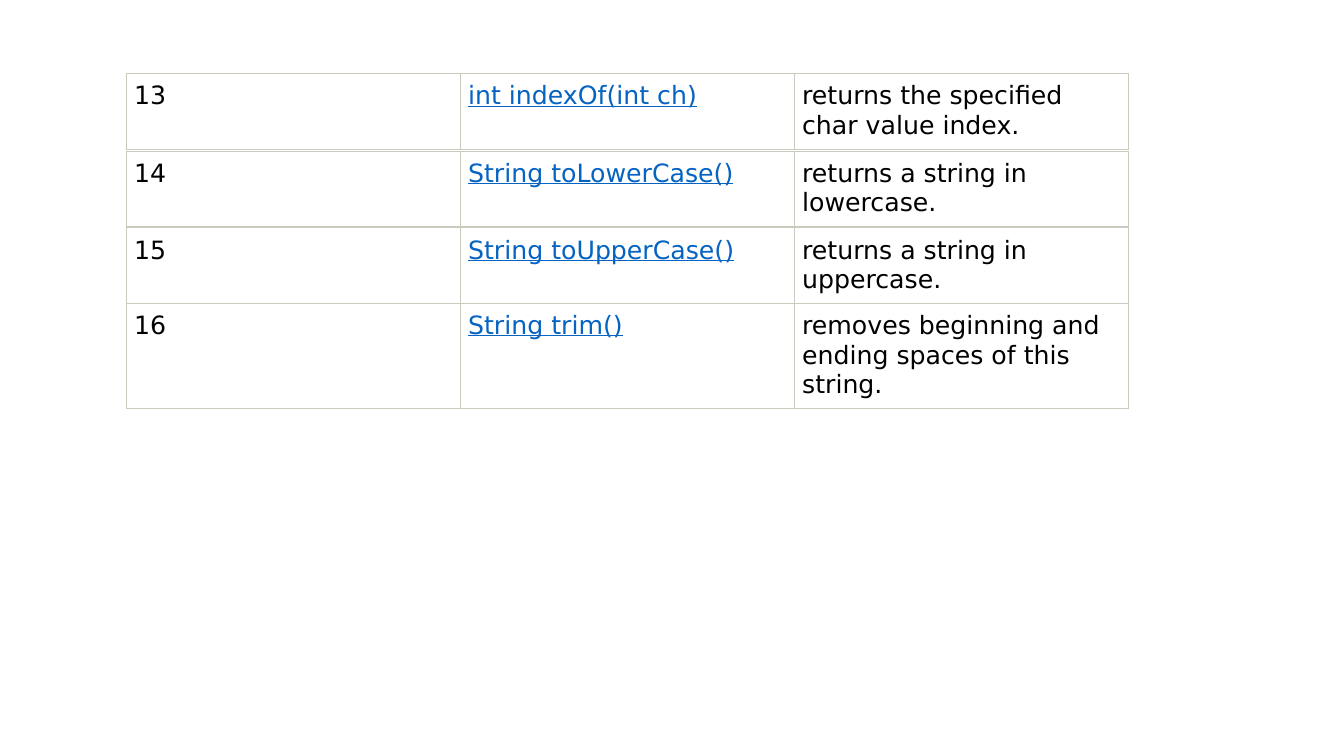
from dataclasses import dataclass

from lxml.etree import SubElement
from pptx import Presentation
from pptx.dml.color import RGBColor
from pptx.oxml.ns import qn
from pptx.slide import Slide
from pptx.table import _Cell
from pptx.util import Inches, Pt


@dataclass(frozen=True)
class Theme:
    font: str = "DejaVu Sans"
    text_size: int = 18
    text: str = "000000"
    link: str = "0563C1"
    cell: str = "FFFFFF"
    border: str = "C7CCBE"
    border_width: float = 0.75


@dataclass(frozen=True)
class Method:
    number: str
    signature: str
    description: str
    top: int  # grid rows from the top of the slide
    lines: int = 2


THEME = Theme()
METHODS = (
    Method("13", "int indexOf(int ch)", "returns the specified char value index.", 73),
    Method("14", "String toLowerCase()", "returns a string in lowercase.", 150),
    Method("15", "String toUpperCase()", "returns a string in uppercase.", 226),
    Method("16", "String trim()", "removes beginning and ending spaces of this string.", 301, 3),
)

# Slide and its fine grid
presentation = Presentation()
presentation.slide_width, presentation.slide_height = Inches(13.33), Inches(7.5)
GRID_COLUMN = presentation.slide_width / 1333
GRID_ROW = presentation.slide_height / 750
TABLE_LEFT, COLUMN_WIDTH, COLUMN_COUNT = 125, 331.3, 3
LINE_HEIGHT, ROW_PADDING = 29, 17
CELL_MARGIN = Inches(0.08)


def draw_borders(cell: _Cell) -> None:
    """Outline all four sides of a cell."""
    properties = cell._tc.get_or_add_tcPr()
    for side in ("a:lnL", "a:lnR", "a:lnT", "a:lnB"):
        line = SubElement(properties, qn(side), w=str(Pt(THEME.border_width)))
        fill = SubElement(line, qn("a:solidFill"))
        SubElement(fill, qn("a:srgbClr"), val=THEME.border)


def fill_cell(cell: _Cell, text: str, is_link: bool) -> None:
    """Write and format one cell."""
    for side in ("left", "right", "top", "bottom"):
        setattr(cell, f"margin_{side}", CELL_MARGIN)
    draw_borders(cell)
    cell.fill.solid()
    cell.fill.fore_color.rgb = RGBColor.from_string(THEME.cell)
    run = cell.text_frame.paragraphs[0].add_run()
    run.text = text
    font_format = {"name": THEME.font, "size": Pt(THEME.text_size),
                   "bold": False, "underline": is_link}
    for attribute, value in font_format.items():
        setattr(run.font, attribute, value)
    run.font.color.rgb = RGBColor.from_string(THEME.link if is_link else THEME.text)


def draw_method(slide: Slide, method: Method) -> None:
    """Draw the one-row table of a string method."""
    height = method.lines * LINE_HEIGHT + ROW_PADDING
    table = slide.shapes.add_table(
        1, COLUMN_COUNT,
        round(TABLE_LEFT * GRID_COLUMN), round(method.top * GRID_ROW),
        round(COLUMN_COUNT * COLUMN_WIDTH * GRID_COLUMN), round(height * GRID_ROW),
    ).table
    table.first_row = table.horz_banding = False
    texts = (method.number, method.signature, method.description)
    for cell, text in zip(table.iter_cells(), texts):
        fill_cell(cell, text, is_link=text == method.signature)


# String methods, one table each
blank_layout = presentation.slide_layouts[6]
slide = presentation.slides.add_slide(blank_layout)
for method in METHODS:
    draw_method(slide, method)

presentation.save("out.pptx")
